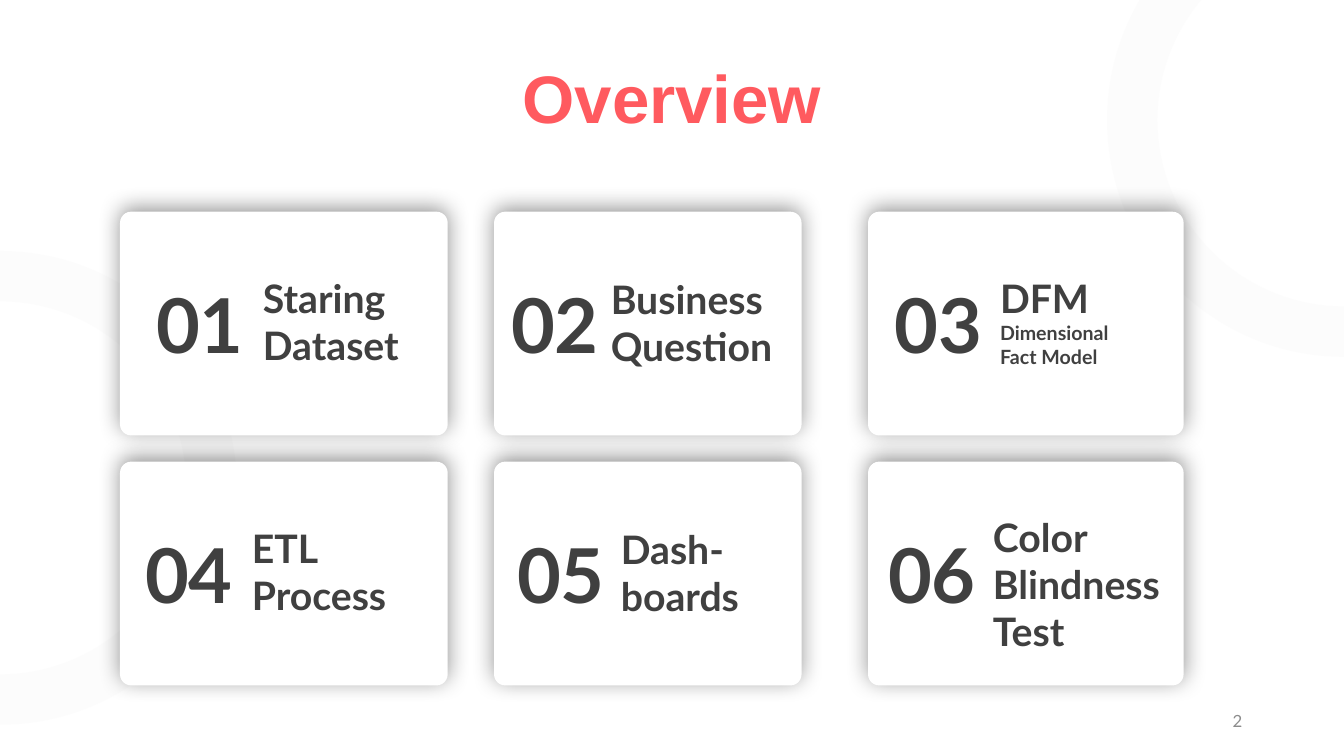
from math import asin, cos, pi, sin, tan

from lxml.etree import SubElement
from pptx import Presentation
from pptx.dml.color import RGBColor
from pptx.enum.shapes import MSO_SHAPE
from pptx.enum.text import MSO_ANCHOR, MSO_AUTO_SIZE, PP_ALIGN
from pptx.oxml.ns import qn
from pptx.util import Pt

PX = 9144  # EMU per px, 100 px to the inch
SLIDE_WIDTH, SLIDE_HEIGHT = 1333, 750

CORAL = RGBColor(0xFF, 0x5A, 0x5F)
CHARCOAL = RGBColor(0x40, 0x40, 0x40)
GRAY = RGBColor(0x8C, 0x8C, 0x8C)
RING_GRAY = RGBColor(0xF2, 0xF2, 0xF2)
WHITE = RGBColor(0xFF, 0xFF, 0xFF)

RING_OUTER, RING_INNER = 235, 185

COLUMNS = [(119, 325), (490, 305), (861, 313)]  # left, width
ROW_TOPS = [210, 458]
CARD_HEIGHT = 222

# number, its left, label left, label width, label drop in card, label lines with sizes
TOPICS = [
    ("01", 145, 251, 189, 57, [("Staring", 28), ("Dataset", 28)]),
    ("02", 497, 596, 216, 58, [("Business Question", 28)]),
    ("03", 877, 982, 189, 57, [("DFM", 28), ("Dimensional", 14), ("Fact Model", 14)]),
    ("04", 134, 240, 189, 57, [("ETL", 28), ("Process", 28)]),
    ("05", 503, 606, 200, 58, [("Dash-boards", 28)]),
    ("06", 871, 975, 219, 46, [("Color", 28), ("Blindness", 28), ("Test", 28)]),
]


def px(*lengths):
    return [round(length * PX) for length in lengths]


def add_alpha(color_element, percent):
    SubElement(color_element, qn("a:alpha"), val=str(percent * 1000))


def arc(center_x, center_y, radius, side):
    """Bezier points from the lowest point up one side to the top or the slide edge."""
    angles = [-pi / 2, 0, asin(min(1, center_y / radius))]

    def point(angle, pull=0):
        x = cos(angle) - pull * sin(angle)
        y = sin(angle) + pull * cos(angle)
        return px(center_x + side * radius * x, center_y - radius * y)

    points = [point(angles[0])]
    for start, end in zip(angles, angles[1:]):
        pull = 4 / 3 * tan((end - start) / 4)
        points += [point(start, pull), point(end, -pull), point(end)]
    return points


def curve_segments(outline, first):
    """Turn the three line segments from index first into one Bezier curve."""
    lines = outline.findall(qn("a:lnTo"))[first:first + 3]
    curve = outline.makeelement(qn("a:cubicBezTo"))
    lines[0].addprevious(curve)
    for line in lines:
        curve.append(line[0])
        outline.remove(line)


def add_half_ring(slide, center_x, center_y, side):
    outer = arc(center_x, center_y, RING_OUTER, side)
    inner = arc(center_x, center_y, RING_INNER, side)
    builder = slide.shapes.build_freeform(*outer[0])
    builder.add_line_segments(outer[1:] + inner[::-1], close=True)
    ring = builder.convert_to_shape()
    outline = ring._element.spPr.find(".//" + qn("a:path"))
    for first in (10, 7, 3, 0):  # last to first; segment 6 stays straight
        curve_segments(outline, first)
    ring.shadow.inherit = False
    ring.line.fill.background()
    ring.fill.solid()
    ring.fill.fore_color.rgb = RING_GRAY
    add_alpha(ring._element.spPr.find(".//" + qn("a:srgbClr")), 20)


def add_card(slide, left, top, width):
    card = slide.shapes.add_shape(
        MSO_SHAPE.ROUNDED_RECTANGLE, *px(left, top, width, CARD_HEIGHT))
    card.adjustments[0] = 0.05
    card.fill.solid()
    card.fill.fore_color.rgb = WHITE
    card.line.fill.background()
    card.shadow.inherit = False
    effects = card._element.spPr.find(qn("a:effectLst"))
    shadow = SubElement(effects, qn("a:outerShdw"), blurRad=str(Pt(16)),
                        dist=str(Pt(3)), dir=str(270 * 60000), rotWithShape="0")
    add_alpha(SubElement(shadow, qn("a:srgbClr"), val="000000"), 41)


def style(paragraph, size, color, bold, font_name="Lato"):
    font = paragraph.font
    font.name, font.size, font.bold = font_name, Pt(size), bold
    font.color.rgb = color


def add_text(slide, box, lines, color=CHARCOAL, bold=True):
    """Add a wrapped text box holding one paragraph per (text, size) line."""
    frame = slide.shapes.add_textbox(*px(*box)).text_frame
    frame.word_wrap = True
    frame.text = "\n".join(text for text, size in lines)
    for paragraph, (text, size) in zip(frame.paragraphs, lines):
        style(paragraph, size, color, bold)
    return frame


def set_title(slide, text):
    title = slide.shapes.title
    title.left, title.top, title.width, title.height = px(108, 60, 1117, 82)
    frame = title.text_frame
    frame.text = text
    frame.auto_size = MSO_AUTO_SIZE.NONE
    frame.vertical_anchor = MSO_ANCHOR.MIDDLE
    heading = frame.paragraphs[0]
    heading.alignment = PP_ALIGN.CENTER
    heading.line_spacing = 0.9
    style(heading, 48, CORAL, True, "Arial")


def add_page_number(slide, number):
    frame = add_text(slide, (942, 695, 300, 40), [(number, 12)], GRAY, False)
    frame.vertical_anchor = MSO_ANCHOR.MIDDLE
    frame.paragraphs[0].alignment = PP_ALIGN.RIGHT


def main():
    deck = Presentation()
    deck.slide_width, deck.slide_height = px(SLIDE_WIDTH, SLIDE_HEIGHT)
    slide = deck.slides.add_slide(deck.slide_layouts[5])

    add_half_ring(slide, 0, 484, side=1)
    add_half_ring(slide, SLIDE_WIDTH, 119, side=-1)
    set_title(slide, "Overview")

    cards = [(left, top, width) for top in ROW_TOPS for left, width in COLUMNS]
    for card in cards:
        add_card(slide, *card)
    add_page_number(slide, "2")

    for (_, top, _), topic in zip(cards, TOPICS):
        number, number_left, label_left, label_width, label_drop, label = topic
        number_frame = add_text(slide, (number_left, top + 61, 121, 101), [(number, 54)])
        label_height = 151 if len(label) == 3 and label[1][1] == 28 else 104
        label_box = (label_left, top + label_drop, label_width, label_height)
        label_frame = add_text(slide, label_box, label)
        for frame in (number_frame, label_frame):
            frame.auto_size = MSO_AUTO_SIZE.SHAPE_TO_FIT_TEXT

    deck.save("out.pptx")


if __name__ == "__main__":
    main()
